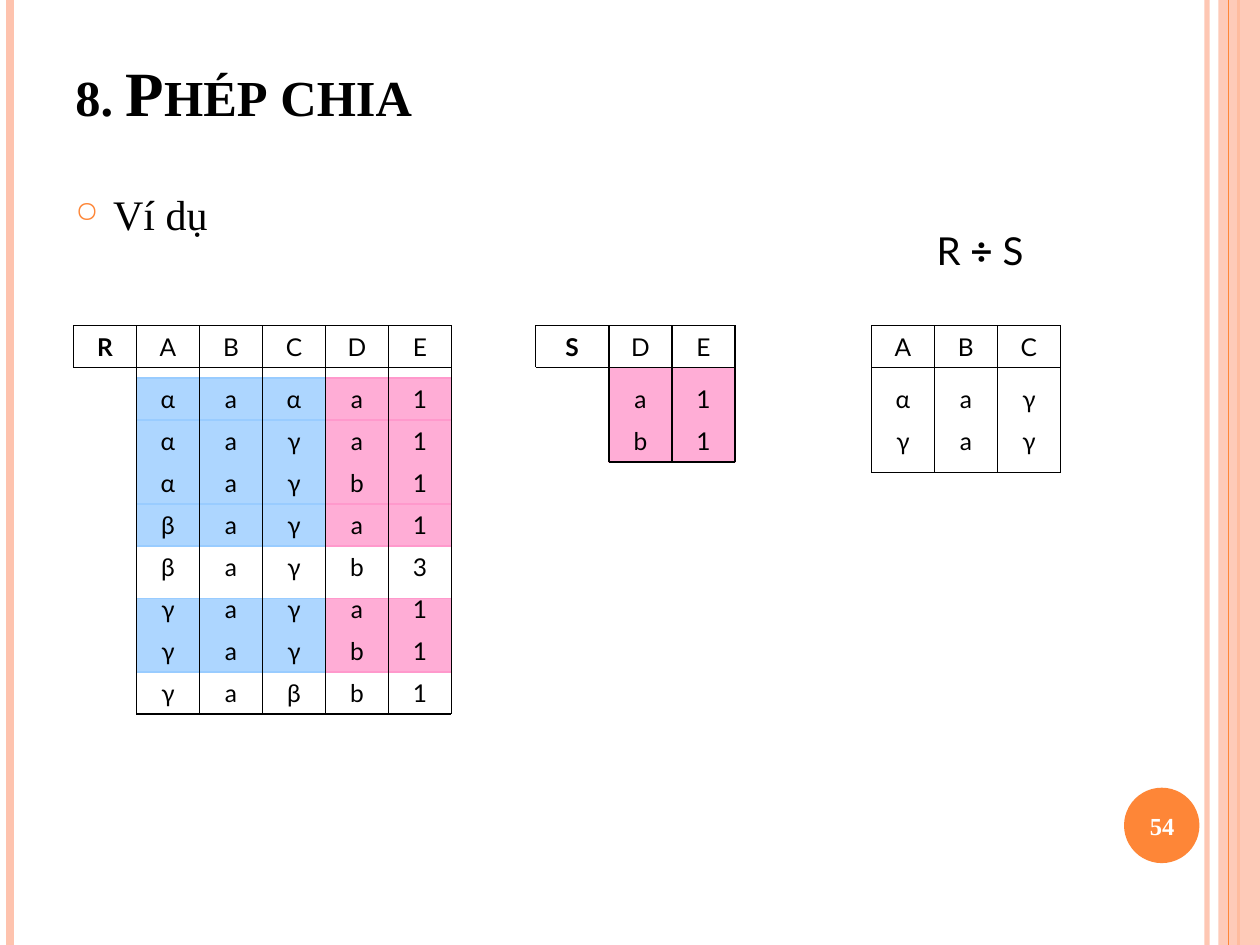
from dataclasses import dataclass

from pptx import Presentation
from pptx.dml.color import RGBColor as Rgb
from pptx.enum.shapes import MSO_CONNECTOR as Link, MSO_SHAPE as Kind
from pptx.enum.text import MSO_ANCHOR as Anchor, PP_ALIGN as Align
from pptx.oxml.ns import qn
from pptx.util import Cm, Pt

HUE = {
    "ink": "000000", "paper": "FFFFFF", "peach": "FEC3AE",
    "orange": "FE8637", "blue": "99CCFF", "pink": "FF99CC",
}
SERIF, SANS = "Times New Roman", "Lato"
UNIT = 2.54 / 12  # the tables sit on a grid of twelve steps to the inch
COL, ROW, TOP, FIRST = 6, 4, 31, 36  # cell size, header top, first row top


@dataclass
class Bar:
    x: float
    width: float
    color: str
    alpha: int = 100


@dataclass
class Shade:
    x: int
    y: int
    w: int
    h: int
    color: str


@dataclass
class Grid:
    name: str
    x: int
    label: int  # width of the name cell
    end: int
    head: str
    rows: tuple[str, ...]


def fade(fill, alpha: int) -> None:
    """Make a solid fill partly transparent."""
    if alpha < 100:
        color = fill._xPr.find(qn("a:solidFill"))[0]
        color.makeelement(qn("a:alpha"), {})
        node = color.makeelement(qn("a:alpha"), {"val": str(alpha * 1000)})
        color.append(node)


def line(shapes, x1: float, y1: float, x2: float, y2: float,
         color: str = "ink", width: float = 1, alpha: int = 100) -> None:
    rule = shapes.add_connector(Link.STRAIGHT, Cm(x1), Cm(y1), Cm(x2), Cm(y2))
    rule.line.width = Pt(width)
    rule.line.fill.solid()
    rule.line.color.rgb = Rgb.from_string(HUE[color])
    fade(rule.line.fill, alpha)
    props = rule._element.spPr
    props.append(props.makeelement(qn("a:effectLst"), {}))


def block(shapes, kind: Kind, x: float, y: float, w: float, h: float,
          color: str, alpha: int = 100, edge: bool = False) -> None:
    shape = shapes.add_shape(kind, Cm(x), Cm(y), Cm(w), Cm(h))
    shape.shadow.inherit = False
    shape.fill.solid()
    shape.fill.fore_color.rgb = Rgb.from_string(HUE[color])
    fade(shape.fill, alpha)
    if edge:
        shape.line.color.rgb = Rgb.from_string(HUE[color])
        shape.line.width = Pt(1)
    else:
        shape.line.fill.background()


def text(shapes, words: str, x: float, y: float, w: float, h: float,
         size: int, face: str = SANS, color: str = "ink", bold: bool = False,
         align: Align = Align.CENTER, anchor: Anchor = Anchor.MIDDLE,
         pad: float = 0):
    """Add a one-line text box and return its paragraph."""
    frame = shapes.add_textbox(Cm(x), Cm(y), Cm(w), Cm(h)).text_frame
    frame.word_wrap = True
    frame.vertical_anchor = anchor
    frame.margin_left = frame.margin_right = Cm(pad)
    frame.margin_top = frame.margin_bottom = Cm(pad / 2)
    para = frame.paragraphs[0]
    para.alignment = align
    para.add_run().text = words
    font = para.font
    font.size, font.name, font.bold = Pt(size), face, bold
    font.color.rgb = Rgb.from_string(HUE[color])
    return para


def bullet(para, mark: str, color: str) -> None:
    props = para._p.get_or_add_pPr()
    props.set("marL", str(Cm(0.76)))
    props.set("indent", str(Cm(-0.76)))
    tint = props.makeelement(qn("a:buClr"), {})
    tint.append(tint.makeelement(qn("a:srgbClr"), {"val": HUE[color]}))
    size = props.makeelement(qn("a:buSzPct"), {"val": "70000"})
    char = props.makeelement(qn("a:buChar"), {"char": mark})
    for spot, node in enumerate((tint, size, char)):
        props.insert(spot, node)


def table(slide, grid: Grid) -> None:
    """Draw a relation: a ruled header over rows with no rules between."""
    shapes = slide.shapes.add_group_shape().shapes
    left = grid.x + grid.label
    right = left + COL * len(grid.head)

    def rule(*ends: int) -> None:
        line(shapes, *(end * UNIT for end in ends))

    def cell(words: str, x: int, y: int, w: int = COL, bold: bool = False) -> None:
        text(shapes, words, x * UNIT, y * UNIT, w * UNIT, ROW * UNIT, 14, bold=bold)

    # Cells
    if grid.name:
        cell(grid.name, grid.x, TOP, grid.label, True)
        rule(grid.x, TOP, grid.x, TOP + ROW)
    tops = [TOP] + [FIRST + ROW * n for n in range(len(grid.rows))]
    for y, row in zip(tops, (grid.head, *grid.rows)):
        for n, words in enumerate(row):
            cell(words, left + COL * n, y)
    # Rules
    for y in (TOP, TOP + ROW):
        rule(grid.x, y, right, y)
    rule(left, grid.end, right, grid.end)
    for x in range(left, right + 1, COL):
        rule(x, TOP, x, grid.end)


BARS = [Bar(24.33, 3, "peach", 93), Bar(0.2, 4.5, "peach"), Bar(24.97, 1.5, "orange")]
SHADES = [
    Shade(x, y, w, h, color)
    for y, h in ((57, 7), (48, 4), (40, 8), (36, 4))
    for x, w, color in ((13, 18, "blue"), (31, 12, "pink"))
] + [Shade(58, 35, 12, 9, "pink")]
GRIDS = [
    Grid("R", 7, 6, 68, "ABCDE", ("αaαa1", "αaγa1", "αaγb1", "βaγa1",
                                  "βaγb3", "γaγa1", "γaγb1", "γaβb1")),
    Grid("S", 51, 7, 44, "DE", ("a1", "b1")),
    Grid("", 83, 0, 45, "ABC", ("αaγ", "γaγ")),
]


def main() -> None:
    deck = Presentation()
    deck.slide_width, deck.slide_height = Cm(25.4), Cm(19.05)
    slide = deck.slides.add_slide(deck.slide_layouts[6])
    shapes = slide.shapes

    # Side bars and page number disc
    for bar in BARS:
        line(shapes, bar.x, 0, bar.x, 19.05, bar.color, bar.width, bar.alpha)
    block(shapes, Kind.RECTANGLE, 24.56, 0, 0.84, 19.05, "peach", 87)
    line(shapes, 24.77, 0, 24.77, 19.05, "orange", 0.75)
    block(shapes, Kind.OVAL, 22.66, 15.88, 1.52, 1.52, "orange")

    # Shaded rows
    for s in SHADES:
        block(shapes, Kind.RECTANGLE, s.x * UNIT, s.y * UNIT, s.w * UNIT,
              s.h * UNIT, s.color, 80, True)

    # Title and bullet
    title = text(shapes, "8. Phép chia", 1.27, 0.99, 23.7, 1.73, 36, SERIF,
                 bold=True, align=Align.LEFT, anchor=Anchor.BOTTOM, pad=0.25)
    title.font._element.set("cap", "small")
    body = text(shapes, "Ví dụ", 1.27, 3.68, 22.86, 14.4, 24, SERIF,
                align=Align.LEFT, anchor=Anchor.TOP, pad=0.25)
    bullet(body, "○", "orange")

    # Relations and the division
    for grid in GRIDS:
        table(slide, grid)
    quot = text(shapes, "R ", 18.63, 4.45, 2.96, 1.19, 22,
                align=Align.LEFT, pad=0.25)
    sign = quot.add_run()
    sign.text, sign.font.bold = "÷", True
    quot.add_run().text = " S"

    # Page number
    text(shapes, "54", 22.58, 15.93, 1.7, 1.45, 14, SERIF, "paper", True)
    deck.save("out.pptx")


if __name__ == "__main__":
    main()
